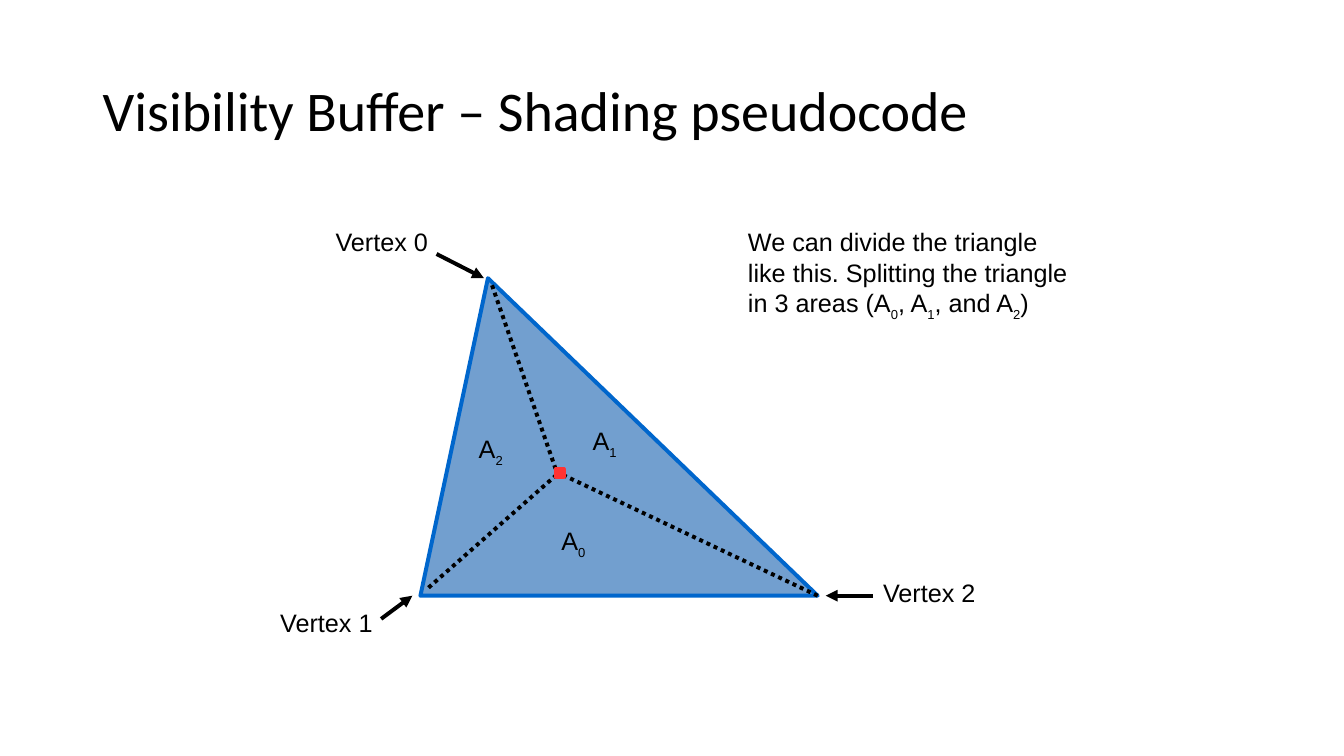
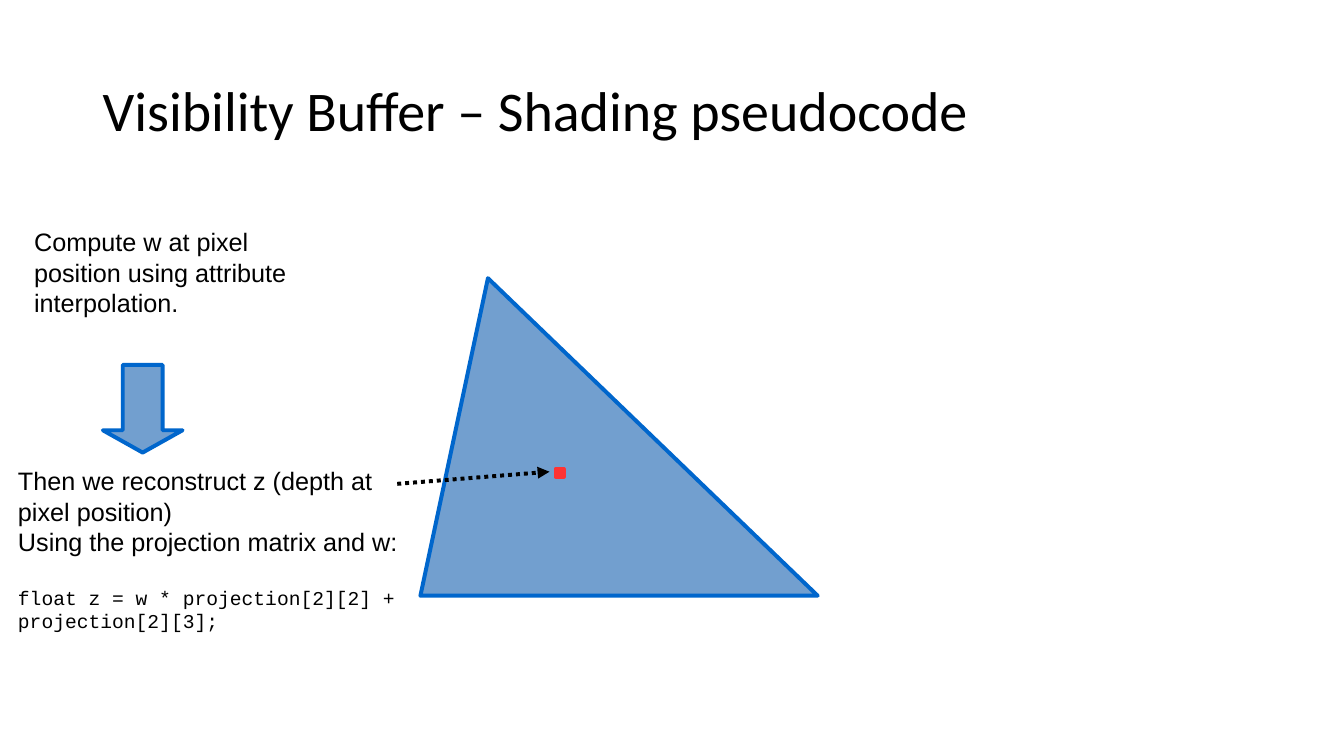
from pptx import Presentation
from pptx.dml.color import RGBColor
from pptx.enum.dml import MSO_LINE
from pptx.enum.shapes import MSO_CONNECTOR, MSO_SHAPE
from pptx.enum.text import MSO_ANCHOR
from pptx.oxml.ns import qn
from pptx.util import Inches, Pt
from lxml import etree

BLACK = RGBColor(0x00, 0x00, 0x00)
BLUE = RGBColor(0x72, 0x9F, 0xCF)
DARK_BLUE = RGBColor(0x00, 0x66, 0xCC)
RED = RGBColor(0xFF, 0x33, 0x33)

STRAIGHT = MSO_CONNECTOR.STRAIGHT
RECTANGLE = MSO_SHAPE.RECTANGLE
DOWN_ARROW = MSO_SHAPE.DOWN_ARROW
DOTTED = MSO_LINE.ROUND_DOT
MIDDLE = MSO_ANCHOR.MIDDLE

TITLE = "Visibility Buffer – Shading pseudocode"
TITLE_FONT, BODY_FONT, CODE_FONT = "Calibri", "Arial", "Courier New"
TITLE_SIZE, BODY_SIZE, SUB_SIZE, CODE_SIZE = Pt(40), Pt(18), Pt(16), Pt(14)
LINE_WIDTH = Pt(2.83)
VERTICES = [(4.84, 2.76), (8.11, 5.91), (4.17, 5.91)]


def add_run(p, text, font=BODY_FONT, size=BODY_SIZE):
    r = p.add_run()
    r.text = text
    r.font.name = font
    r.font.size = size
    r.font.color.rgb = BLACK
    return r


def add_text_frame(slide, x, y, w, h):
    tf = slide.shapes.add_textbox(Inches(x), Inches(y), Inches(w), Inches(h)).text_frame
    tf.word_wrap = True
    return tf


def add_text(slide, x, y, w, h, *parts):
    """Every second part is set as a subscript."""
    p = add_text_frame(slide, x, y, w, h).paragraphs[0]
    for i, part in enumerate(parts):
        if i % 2:
            r = add_run(p, part, size=SUB_SIZE)
            r.font._element.set("baseline", "-33000")
        else:
            add_run(p, part)


def add_title(slide):
    tf = add_text_frame(slide, 0.92, 0.4, 11.5, 1.45)
    tf.vertical_anchor = MIDDLE
    p = tf.paragraphs[0]
    p.line_spacing = 0.9
    add_run(p, TITLE, TITLE_FONT, TITLE_SIZE)


def style_shape(sp, fill, line):
    sp.shadow.inherit = False
    sp.fill.solid()
    sp.fill.fore_color.rgb = fill
    sp.line.color.rgb = line
    sp.line.width = LINE_WIDTH
    etree.SubElement(sp.line._get_or_add_ln(), qn("a:round"))


def add_shape(slide, kind, x, y, w, h, fill, line):
    sp = slide.shapes.add_shape(kind, Inches(x), Inches(y), Inches(w), Inches(h))
    style_shape(sp, fill, line)
    return sp


def add_triangle(slide):
    start, *others = [(Inches(x), Inches(y)) for x, y in VERTICES]
    builder = slide.shapes.build_freeform(*start)
    builder.add_line_segments(others, close=True)
    style_shape(builder.convert_to_shape(), BLUE, DARK_BLUE)


def add_pixel(slide):
    add_shape(slide, RECTANGLE, 5.51, 4.65, 0.08, 0.08, RED, RED)


def add_line(slide, start, end, dotted=False, arrow=False):
    ends = [Inches(v) for v in (*start, *end)]
    line = slide.shapes.add_connector(STRAIGHT, *ends)
    line.line.color.rgb = BLACK
    line.line.width = LINE_WIDTH
    if dotted:
        line.line.dash_style = DOTTED
    if arrow:
        etree.SubElement(line.line._get_or_add_ln(), qn("a:tailEnd"), type="triangle")
    etree.SubElement(line._element.spPr, qn("a:effectLst"))


def add_slide(prs):
    slide = prs.slides.add_slide(prs.slide_layouts[6])
    add_title(slide)
    add_triangle(slide)
    return slide


def build_areas(prs):
    s = add_slide(prs)
    for i, (x, y) in enumerate([(3.23, 2.2), (2.68, 5.98), (8.66, 5.68)]):
        add_text(s, x, y, 1.18, 0.38, f"Vertex {i}")
    add_text(s, 7.32, 2.2, 3.39, 1.57,
             "We can divide the triangle like this. Splitting the triangle in 3 areas (A",
             "0", ", A", "1", ", and A", "2", ")")
    for start, end in [((4.33, 2.52), (4.8, 2.76)),
                       ((3.78, 6.14), (4.09, 5.91)),
                       ((8.66, 5.91), (8.19, 5.91))]:
        add_line(s, start, end, arrow=True)
    for start, end in [((8.11, 5.91), (5.6, 4.72)),
                       ((4.25, 5.83), (5.51, 4.72)),
                       ((4.88, 2.83), (5.51, 4.65))]:
        add_line(s, start, end, dotted=True)
    add_pixel(s)
    for i, (x, y) in enumerate([(5.47, 5.16), (5.78, 4.17), (4.65, 4.25)]):
        add_text(s, x, y, 0.6, 0.47, "A", str(i))


def build_depth(prs):
    s = add_slide(prs)
    add_pixel(s)
    add_text(s, 0.24, 2.2, 2.91, 1.57,
             "Compute w at pixel position using attribute interpolation.")
    add_line(s, (3.94, 4.8), (5.45, 4.68), dotted=True, arrow=True)
    tf = add_text_frame(s, 0.08, 4.57, 4.02, 2.4)
    add_run(tf.paragraphs[0], "Then we reconstruct z (depth at pixel position)")
    add_run(tf.add_paragraph(), "Using the projection matrix and w:")
    code = tf.add_paragraph()
    code.space_before = Pt(21)
    add_run(code, "float z = w * projection[2][2] + projection[2][3];", CODE_FONT, CODE_SIZE)
    arrow = add_shape(s, DOWN_ARROW, 1.02, 3.62, 0.79, 0.87, BLUE, DARK_BLUE)
    arrow.adjustments[1] = 0.28


def main():
    prs = Presentation()
    prs.slide_width = Inches(13.33)
    prs.slide_height = Inches(7.5)
    build_areas(prs)
    build_depth(prs)
    prs.save("out.pptx")


if __name__ == "__main__":
    main()
